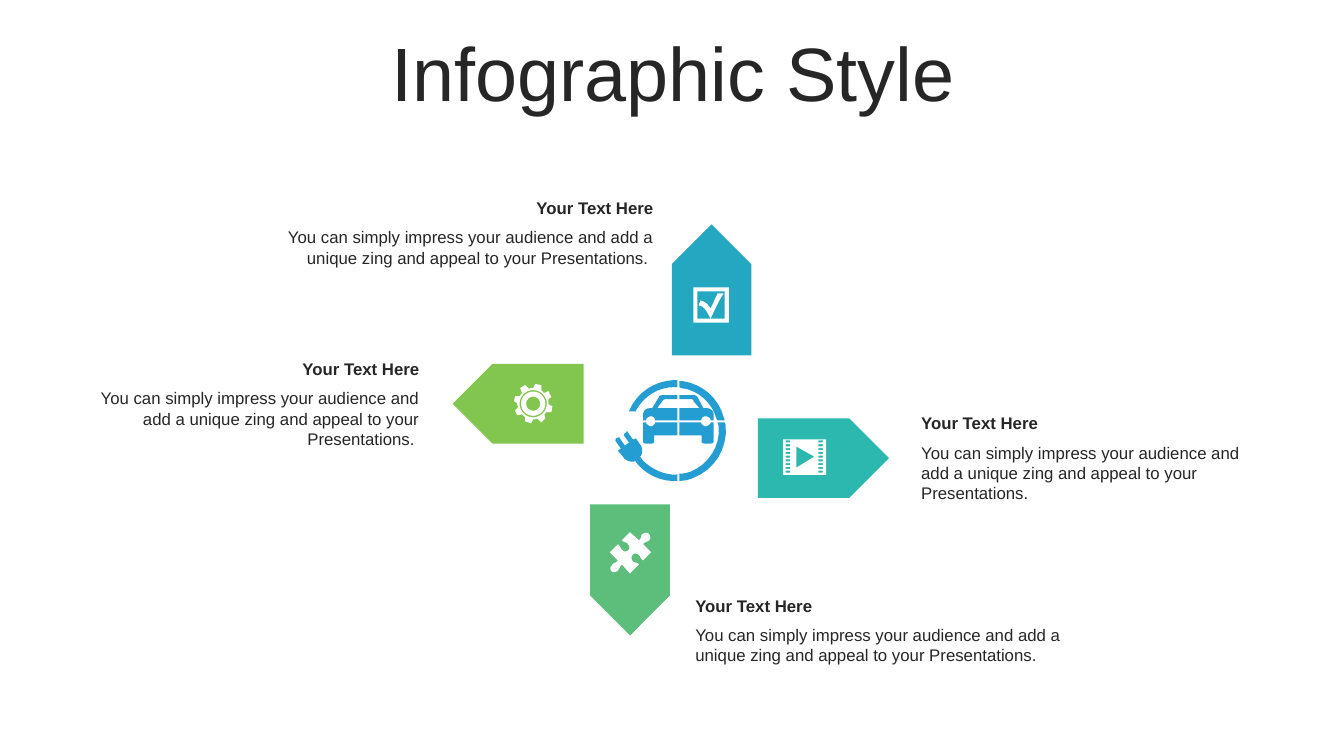
from dataclasses import dataclass
from math import cos, pi, sin

from pptx import Presentation
from pptx.dml.color import RGBColor
from pptx.enum.shapes import MSO_SHAPE as Kind
from pptx.enum.text import MSO_ANCHOR as Anchor, MSO_AUTO_SIZE as Fit, PP_ALIGN as Align
from pptx.util import Pt

Point = tuple[float, float]
Loop = list[Point]

INK, WHITE = "262626", "FFFFFF"
UNIT = 0.72  # points per icon grid unit
STEPS = 8  # line pieces per curve
HEAD = "Your Text Here"
BODY = "You can simply impress your audience and add a unique zing and appeal to your Presentations."


@dataclass
class Arrow:
    left: float
    top: float
    turn: int
    fill: str


@dataclass
class Note:
    left: float
    top: float
    width: float
    tall: float
    align: Align


@dataclass
class Icon:
    fill: str
    loops: list[Loop]


def color(code: str) -> RGBColor:
    return RGBColor.from_string(code)


def trace(text: str) -> list[Loop]:
    """Read loops split by Z: x,y is a corner, a:b:c a cubic curve."""
    loops = []
    for part in text.split("Z"):
        loop: Loop = []
        for token in part.split():
            spots = [tuple(map(float, spot.split(","))) for spot in token.split(":")]
            if len(spots) == 1:
                loop.append(spots[0])
                continue
            (ax, ay), (bx, by), (cx, cy), (dx, dy) = loop[-1], *spots
            for step in range(1, STEPS + 1):
                t = step / STEPS
                u = 1 - t
                p, q, r, s = u**3, 3 * u * u * t, 3 * u * t * t, t**3
                loop.append((p * ax + q * bx + r * cx + s * dx,
                             p * ay + q * by + r * cy + s * dy))
        loops.append(loop)
    return loops


def box(left: float, top: float, right: float, base: float) -> Loop:
    return [(left, top), (right, top), (right, base), (left, base)]


def ring(x: float, y: float, size: float) -> Loop:
    turns = [2 * pi * i / 48 for i in range(48)]
    return [(x + size * cos(a), y + size * sin(a)) for a in turns]


PLUG = trace("""
622,428 623,428:623,429:623,429 628,436 631,435 635,441 636,442 637,445:638,448:636,452
635,453 638,457 647,466:659,471:671,471 672,470 672,477 671,477 657,478:643,472:633,461
630,457 629,458 628,458:628,458:627,458 623,458:620,456:618,453 613,447 616,445 611,438
610,437:611,436:611,435 613,434 614,434:615,434:615,435 620,442 624,439 619,432
619,431:619,430:620,430 621,429 621,428:622,428:622,428
""")
RIM = trace("""
712,419 719,419 720,422 722,445:709,466:688,474 684,476:679,477:675,477 674,477 674,470
675,470 678,470:682,469:685,468 703,461:715,442:713,423 713,422:712,420:712,419 Z
674,378 677,378 697,381:713,395:718,414 719,417 712,417 711,416 707,400:693,387:676,385
674,384 Z
669,377 672,377 672,384 669,384 653,384:639,393:631,407 631,408 624,408 632,389:649,378:669,377
""")
BASE = trace("""
638,419 641,419 641,420 642,421:644,423:646,423 648,423:649,421:650,420 650,419 672,419
672,432 649,432 649,438 649,439:648,440:647,440 640,440 639,440:638,439:638,438 Z
695,419 696,420 696,421:698,423:700,423 702,423:704,421:705,420 705,419 708,419 708,438
708,439:707,440:705,440 699,440 697,440:696,439:696,438 696,432 674,432 674,419
""")
ROOF = trace("""
687,392 689,392:690,392:691,393 692,394 698,405 702,405 705,405:708,408:708,411 708,417
705,417 705,416 704,414:702,413:700,413 698,413:696,414:696,416 695,417 674,417 674,405
694,405 688,398 688,397 687,396:686,396:685,396 674,396 674,392
""") + trace("""
658,392 672,392 672,396 661,396 660,396:659,396:658,397 657,398 652,405 672,405 672,417
650,417 650,416 649,414:648,413:646,413 644,413:642,414:641,416 641,417 638,417 638,411
638,408:641,405:644,405 647,405 653,395 654,394 654,393 655,392:657,392:658,392
""")
PUZZLE = trace("""
644,530 645,531:646,534:644,536 642,538:640,537:638,540 646,548 638,556
635,554:636,552:633,550 632,549:629,549:628,550 626,552:626,555:628,557
630,559:631,557:634,560 625,569 617,560 614,563:615,564:613,566 611,568:608,568:607,567
605,565:605,563:607,561 608,558:611,559:613,556 605,548 613,540 616,542:615,544:618,546
619,548:622,547:623,546 625,545:625,542:623,540 621,537:620,539:617,536 625,528 634,536
637,533:635,533:637,530 640,528:642,528:644,530
""")
COG = trace("""
537,382 537,387 538,388:539,389:540,390 544,388 547,394 544,396 544,398:544,399:544,401
548,403 547,409 542,409 541,410:541,410:540,411 541,415 537,419 533,415 532,416:531,416:529,416
527,420 521,418 521,414 520,413:519,412:518,411 513,412 511,407 514,404 514,403:513,402:513,400
510,398 511,393 516,393 516,392:517,391:518,390 516,385 521,382 525,386 526,385:527,385:529,385
531,381
""")
CHECK = trace("""
693,289 692,289 692,316 705,316 702,311:699,303:693,303 695,298 701,300:702,302:705,306
708,300:709,297:712,291 718,291 713,298:709,308:705,316 719,316 719,289
""")
HOLES = [box(left, 437 + 3.75 * row, left + 4.5, 439 + 3.75 * row)
         for row in range(9) for left in (779.5, 812)]
PLAY = [(790, 443), (790, 464), (808, 453)]

ARROWS = [
    Arrow(541.4, 298.8, 0, "2CB8AE"),
    Arrow(461.5, 178.6, 270, "24A8C2"),
    Arrow(323.3, 259.9, 180, "82C650"),
    Arrow(403.2, 378.7, 90, "5CBE7A"),
]
NOTES = [
    Note(179.3, 137.5, 294.5, 36, Align.RIGHT),
    Note(59, 252.5, 247.7, 51, Align.RIGHT),
    Note(650.9, 291.6, 244.8, 51, Align.LEFT),
    Note(489.6, 421.7, 307.4, 36, Align.LEFT),
]
ICONS = [
    Icon("249ED2", PLUG + RIM + BASE + ROOF),
    Icon(WHITE, PUZZLE),
    Icon(WHITE, [box(777, 436, 819.5, 471), PLAY, *HOLES]),
    Icon(WHITE, COG + [ring(529, 400.5, size) for size in (13.5, 12, 7)]),
    Icon(WHITE, [box(688, 285, 723, 320), *CHECK]),
]


def paint(shape, fill: str) -> None:
    shape.shadow.inherit = False
    shape.fill.solid()
    shape.fill.fore_color.rgb = color(fill)
    shape.line.fill.background()


def add_arrow(shapes, arrow: Arrow) -> None:
    shape = shapes.add_shape(Kind.PENTAGON, Pt(arrow.left), Pt(arrow.top), Pt(93.6), Pt(56.9))
    shape.rotation = arrow.turn
    paint(shape, arrow.fill)


def add_icon(shapes, icon: Icon) -> None:
    loops = [[(Pt(x * UNIT), Pt(y * UNIT)) for x, y in loop] for loop in icon.loops]
    pen = shapes.build_freeform(*loops[0][0])
    pen.add_line_segments(loops[0][1:], close=True)
    for loop in loops[1:]:
        pen.move_to(*loop[0])
        pen.add_line_segments(loop[1:], close=True)
    paint(pen.convert_to_shape(), icon.fill)


def add_text(shapes, text: str, spot: Note, size: float = 12, bold: bool = False):
    frame = shapes.add_textbox(
        Pt(spot.left), Pt(spot.top), Pt(spot.width), Pt(spot.tall)).text_frame
    frame.word_wrap = True
    frame.text = text
    line = frame.paragraphs[0]
    line.alignment = spot.align
    font = line.runs[0].font
    font.name, font.size, font.bold = "Arial", Pt(size), bold
    font.color.rgb = color(INK)
    return frame


def add_note(shapes, note: Note) -> None:
    head = Note(note.left, note.top, note.width, 21.6, note.align)
    body = Note(note.left, note.top + 21.2, note.width, note.tall, note.align)
    tail = " " if note.align == Align.RIGHT else ""
    for frame in (add_text(shapes, HEAD, head, bold=True), add_text(shapes, BODY + tail, body)):
        frame.auto_size = Fit.SHAPE_TO_FIT_TEXT


def main() -> None:
    deck = Presentation()
    deck.slide_width, deck.slide_height = Pt(960), Pt(540)
    shapes = deck.slides.add_slide(deck.slide_layouts[6]).shapes
    title = add_text(shapes, "Infographic Style", Note(25.2, 26.6, 911.5, 56.9, Align.CENTER), 54)
    title.vertical_anchor = Anchor.MIDDLE
    title.paragraphs[0].line_spacing = 0.9
    for arrow in ARROWS:
        add_arrow(shapes, arrow)
    for note in NOTES:
        add_note(shapes, note)
    for icon in ICONS:
        add_icon(shapes, icon)
    deck.save("out.pptx")


if __name__ == "__main__":
    main()
